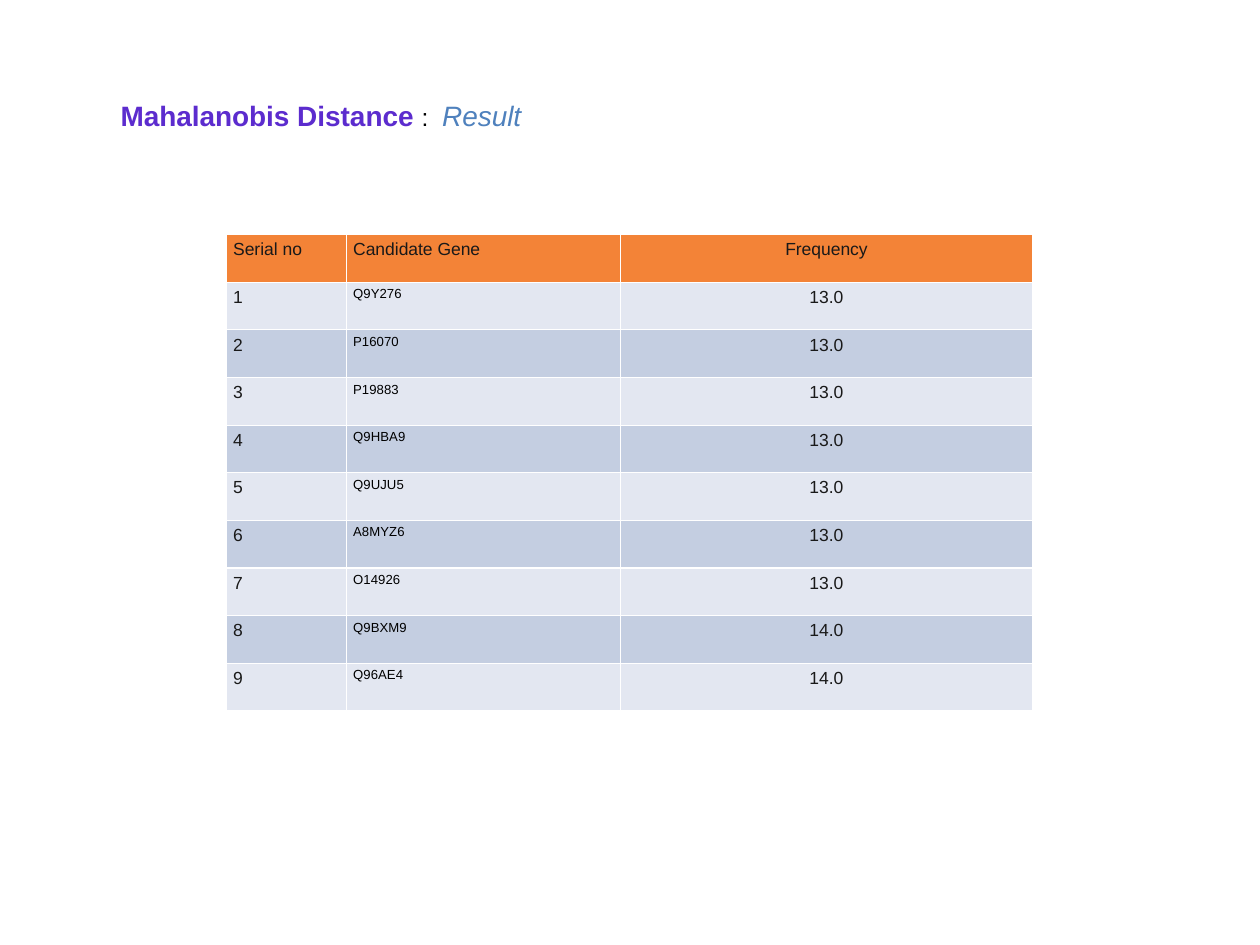
import pptx
import pptx.dml.color
import pptx.enum.text
import pptx.oxml.ns
import pptx.util
from lxml import etree

Cm = pptx.util.Cm
Pt = pptx.util.Pt
ALIGN = pptx.enum.text.PP_ALIGN

FONT = "Arial"
COLORS = {
    "header": "F38337",
    "light_row": "E3E7F1",
    "dark_row": "C4CEE1",
    "border": "FFFFFF",
    "text": "191919",
    "black": "000000",
    "purple": "5C2CCE",
    "blue": "4F81BD",
}
HEADERS = ["Serial no", "Candidate Gene", "Frequency"]
GENES = [
    ("Q9Y276", "13.0"),
    ("P16070", "13.0"),
    ("P19883", "13.0"),
    ("Q9HBA9", "13.0"),
    ("Q9UJU5", "13.0"),
    ("A8MYZ6", "13.0"),
    ("O14926", "13.0"),
    ("Q9BXM9", "14.0"),
    ("Q96AE4", "14.0"),
]
COLUMN_WIDTHS = [Cm(2.42), Cm(5.51), Cm(8.32)]
ROW_HEIGHT = Cm(0.96)


def rgb(name):
    return pptx.dml.color.RGBColor.from_string(COLORS[name])


def format_font(font, size, color, bold=False, italic=False):
    font.name = FONT
    font.size = Pt(size)
    font.bold = bold
    font.italic = italic
    font.color.rgb = rgb(color)


def add_title(slide):
    title = slide.shapes.title
    title.left, title.top = Cm(2.18), Cm(1.73)
    title.width, title.height = Cm(11.53), Cm(1.19)
    frame = title.text_frame
    frame.word_wrap = True
    frame.auto_size = pptx.enum.text.MSO_AUTO_SIZE.NONE
    frame.vertical_anchor = pptx.enum.text.MSO_ANCHOR.TOP
    frame.margin_left = frame.margin_right = Cm(0.25)
    frame.margin_top = frame.margin_bottom = Cm(0.25)
    paragraph = frame.paragraphs[0]
    paragraph.alignment = ALIGN.LEFT
    for text, size, color, bold, italic in [
        ("Mahalanobis Distance ", 16, "purple", True, False),
        (":  ", 14, "black", False, False),
        ("Result", 16, "blue", False, True),
    ]:
        run = paragraph.add_run()
        run.text = text
        format_font(run.font, size, color, bold, italic)


def add_borders(cell):
    """Draw all four sides; must run before the cell fill is set."""
    properties = cell._tc.get_or_add_tcPr()
    qn = pptx.oxml.ns.qn
    for side in ("a:lnL", "a:lnR", "a:lnT", "a:lnB"):
        line = etree.SubElement(properties, qn(side), w=str(Pt(0.75)))
        fill = etree.SubElement(line, qn("a:solidFill"))
        etree.SubElement(fill, qn("a:srgbClr"), val=COLORS["border"])


def fill_cell(cell, text, fill, size, color, alignment):
    add_borders(cell)
    cell.fill.solid()
    cell.fill.fore_color.rgb = rgb(fill)
    cell.margin_left = cell.margin_right = Cm(0.13)
    cell.margin_top = cell.margin_bottom = Cm(0.05)
    cell.text_frame.text = text
    paragraph = cell.text_frame.paragraphs[0]
    paragraph.alignment = alignment
    paragraph.line_spacing = 1.15
    format_font(paragraph.runs[0].font, size, color)


def add_gene_table(slide):
    rows = [HEADERS]
    rows += [(str(number), *gene) for number, gene in enumerate(GENES, 1)]
    table = slide.shapes.add_table(
        len(rows), len(HEADERS), Cm(4.57), Cm(4.73),
        sum(COLUMN_WIDTHS), ROW_HEIGHT * len(rows),
    ).table
    for column, width in zip(table.columns, COLUMN_WIDTHS):
        column.width = width
    for row_index, values in enumerate(rows):
        table.rows[row_index].height = ROW_HEIGHT
        if row_index == 0:
            fill = "header"
        else:
            fill = "light_row" if row_index % 2 else "dark_row"
        for column_index, text in enumerate(values):
            is_gene = row_index > 0 and column_index == 1
            size, color = (7.5, "black") if is_gene else (10, "text")
            alignment = ALIGN.CENTER if column_index == 2 else ALIGN.LEFT
            fill_cell(table.cell(row_index, column_index), text, fill,
                      size, color, alignment)


def main():
    presentation = pptx.Presentation()
    presentation.slide_width = Cm(25.4)
    presentation.slide_height = Cm(19.05)
    title_only = presentation.slide_layouts[5]
    slide = presentation.slides.add_slide(title_only)
    add_gene_table(slide)
    add_title(slide)
    presentation.save("out.pptx")


if __name__ == "__main__":
    main()
